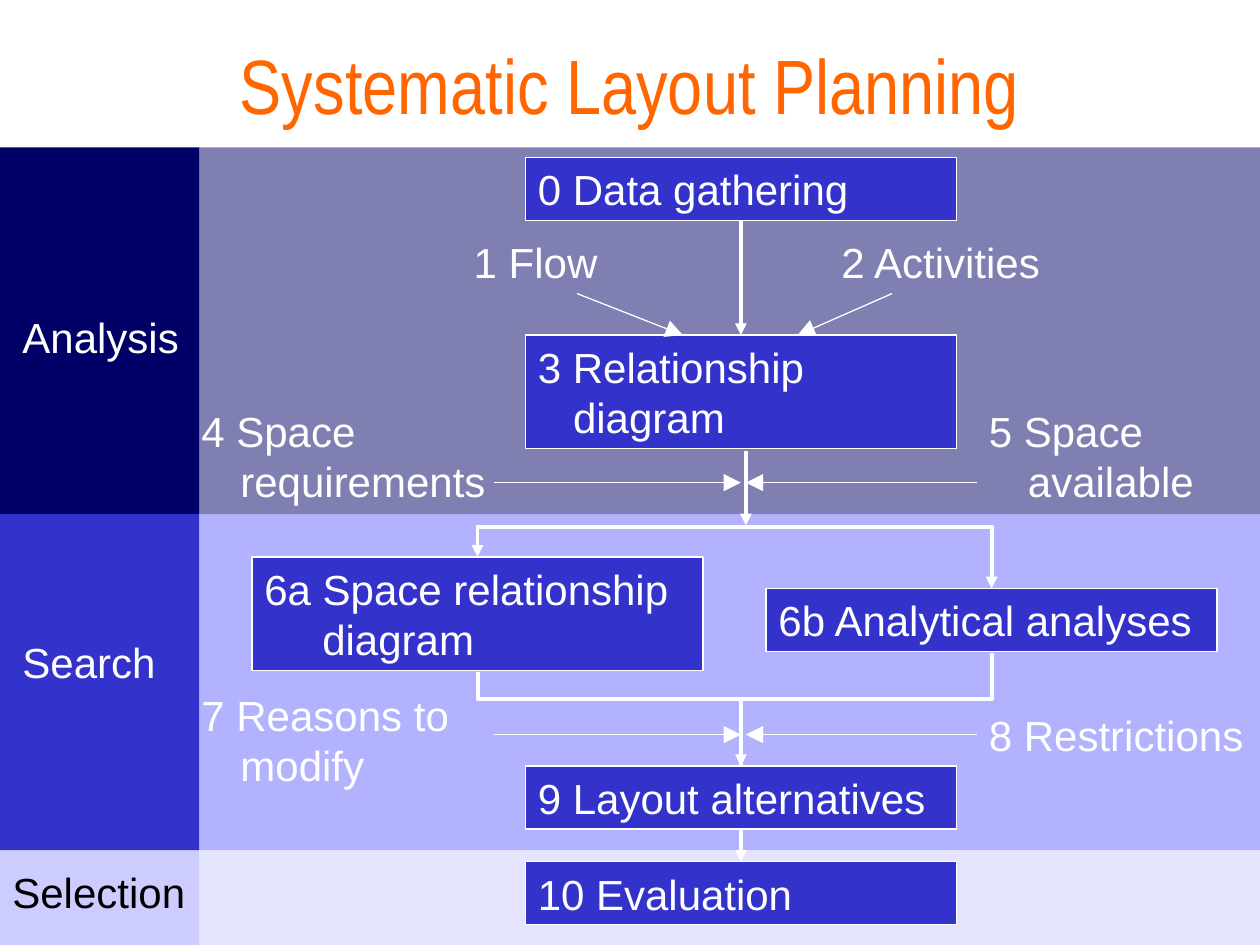
from lxml.etree import SubElement
from pptx import Presentation
from pptx.dml.color import RGBColor
from pptx.enum.shapes import MSO_CONNECTOR, MSO_SHAPE
from pptx.enum.text import MSO_ANCHOR, PP_ALIGN
from pptx.oxml.ns import qn
from pptx.util import Inches, Pt

WHITE = RGBColor(0xFF, 0xFF, 0xFF)
BLACK = RGBColor(0, 0, 0)
ORANGE = RGBColor(0xFF, 0x66, 0x00)
NAVY = RGBColor(0x00, 0x00, 0x66)
BLUE = RGBColor(0x33, 0x33, 0xCC)
VIOLET = RGBColor(0x66, 0x66, 0xFF)
PALE = RGBColor(0xCC, 0xCC, 0xFF)

# Line widths, in points
THIN, THICK = 0.75, 2.25

# Slide grid, in inches
WIDTH, HEIGHT = 10, 7.5
SIDE = 1.58
ONE_LINE, TWO_LINES = 0.5, 0.9
MIDDLE_LEFT, MIDDLE_WIDTH = 4.17, 3.42
MIDDLE = MIDDLE_LEFT + MIDDLE_WIDTH / 2
STEM = 5.92
BRANCH_WIDTH = 3.58
LEFT_BRANCH, RIGHT_BRANCH = 2, 6.08
LEFT_MIDDLE = LEFT_BRANCH + BRANCH_WIDTH / 2
RIGHT_MIDDLE = RIGHT_BRANCH + BRANCH_WIDTH / 2
SPLIT, MERGE = 4.18, 5.55
NOTE_INDENT = 0.31

# Phases: top, side colour, band colour
PHASES = [(1.17, NAVY, NAVY), (4.08, BLUE, VIOLET), (6.75, PALE, PALE)]

# Labels: text, left, top, width, height, colour, alignment, hanging indent
LABELS = [
    ("Analysis", 0.08, 2.42, 1.5, ONE_LINE, WHITE, PP_ALIGN.LEFT, 0),
    ("Search", 0.08, 5, 1.33, ONE_LINE, WHITE, PP_ALIGN.LEFT, 0),
    ("Selection", 0, 6.83, SIDE, ONE_LINE, BLACK, PP_ALIGN.LEFT, 0),
    ("1 Flow", 2.67, 1.83, 2.17, ONE_LINE, WHITE, PP_ALIGN.RIGHT, 0),
    ("2 Activities", 6.58, 1.83, 2.08, ONE_LINE, WHITE, PP_ALIGN.LEFT, 0),
    ("4 Space requirements", 1.5, 3.17, 2.5, TWO_LINES, WHITE, PP_ALIGN.LEFT, NOTE_INDENT),
    ("5 Space available", 7.75, 3.17, 2.08, TWO_LINES, WHITE, PP_ALIGN.LEFT, NOTE_INDENT),
    ("7 Reasons to modify", 1.5, 5.42, 2.42, TWO_LINES, WHITE, PP_ALIGN.LEFT, NOTE_INDENT),
    ("8 Restrictions", 7.75, 5.58, 2.25, ONE_LINE, WHITE, PP_ALIGN.LEFT, 0),
]

# Steps: key -> text, left, top, width, height, hanging indent
STEPS = {
    "0": ("0 Data gathering", MIDDLE_LEFT, 1.25, MIDDLE_WIDTH, ONE_LINE, 0),
    "3": ("3 Relationship\vdiagram", MIDDLE_LEFT, 2.66, MIDDLE_WIDTH, TWO_LINES, 0.28),
    "6a": ("6a Space relationship\vdiagram", LEFT_BRANCH, 4.42, BRANCH_WIDTH, TWO_LINES, 0.46),
    "6b": ("6b Analytical analyses", RIGHT_BRANCH, 4.67, BRANCH_WIDTH, ONE_LINE, 0),
    "9": ("9 Layout alternatives", MIDDLE_LEFT, 6.08, MIDDLE_WIDTH, ONE_LINE, 0),
    "10": ("10 Evaluation", MIDDLE_LEFT, 6.84, MIDDLE_WIDTH, ONE_LINE, 0),
}
JOINS = [("0", "3"), ("9", "10")]

# Arrows: start, end, line width
ARROWS = [
    ((4.58, 2.33), (5.42, 2.66), THIN),
    ((7.08, 2.33), (6.33, 2.66), THIN),
    ((STEM, 3.58), (STEM, 4.17), THICK),
]
for note_y in (3.83, 5.83):
    ARROWS += [((3.92, note_y), (MIDDLE, note_y), THIN),
               ((7.75, note_y), (STEM, note_y), THIN)]

# Bent routes: points, arrowhead at the end
ROUTES = [
    ([(STEM, SPLIT), (LEFT_MIDDLE, SPLIT), (LEFT_MIDDLE, 4.42)], True),
    ([(STEM, SPLIT), (RIGHT_MIDDLE, SPLIT), (RIGHT_MIDDLE, 4.67)], True),
    ([(LEFT_MIDDLE, 5.33), (LEFT_MIDDLE, MERGE), (MIDDLE, MERGE), (MIDDLE, 6.08)], False),
    ([(RIGHT_MIDDLE, 5.18), (RIGHT_MIDDLE, MERGE), (MIDDLE, MERGE), (MIDDLE, 6.08)], True),
]


def write(box, text, color=WHITE, align=PP_ALIGN.LEFT, indent=0,
          size=24, font="Arial", anchor=MSO_ANCHOR.TOP):
    frame = box.text_frame
    frame.word_wrap = True
    frame.vertical_anchor = anchor
    para = frame.paragraphs[0]
    para.text = text
    para.alignment = align
    if indent:
        properties = para._p.get_or_add_pPr()
        properties.set("marL", str(Inches(indent)))
        properties.set("indent", str(-Inches(indent)))
    para.font.size = Pt(size)
    para.font.name = font
    para.font.color.rgb = color


def add_text(page, place, text, **style):
    box = page.shapes.add_textbox(*map(Inches, place))
    write(box, text, **style)


def add_rectangle(page, place, color, alpha=None):
    box = page.shapes.add_shape(MSO_SHAPE.RECTANGLE, *map(Inches, place))
    box.shadow.inherit = False
    box.fill.solid()
    box.fill.fore_color.rgb = color
    box.line.fill.background()
    if alpha:
        tint = box._element.spPr.find(qn("a:solidFill"))[0]
        SubElement(tint, qn("a:alpha")).set("val", str(alpha * 1000))
    return box


def style_line(shape, width, arrow=True):
    shape.line.color.rgb = WHITE
    shape.line.width = Pt(width)
    if arrow:
        size = "lg" if width == THIN else "med"
        SubElement(shape.line._get_or_add_ln(), qn("a:tailEnd"),
                   {"type": "triangle", "w": size, "len": size})


def add_arrow(page, start, end, width):
    arrow = page.shapes.add_connector(MSO_CONNECTOR.STRAIGHT, *map(Inches, start + end))
    style_line(arrow, width)
    SubElement(arrow._element.spPr, qn("a:effectLst"))
    return arrow


def add_route(page, points, arrow):
    start, *corners = [(Inches(x), Inches(y)) for x, y in points]
    builder = page.shapes.build_freeform(*start)
    builder.add_line_segments(corners, close=False)
    route = builder.convert_to_shape()
    route.shadow.inherit = False
    route.fill.background()
    style_line(route, THICK, arrow)


def main():
    deck = Presentation()
    deck.slide_width, deck.slide_height = Inches(WIDTH), Inches(HEIGHT)
    page = deck.slides.add_slide(deck.slide_layouts[6])

    # Title
    add_text(page, (0.75, 0.33, 8.5, 0.67), "Systematic Layout Planning", color=ORANGE,
             align=PP_ALIGN.CENTER, size=44, font="Arial Narrow", anchor=MSO_ANCHOR.MIDDLE)

    # Phase bands
    bottoms = [phase[0] for phase in PHASES[1:]] + [HEIGHT]
    for (top, side_color, band_color), bottom in zip(PHASES, bottoms):
        add_rectangle(page, (0, top, SIDE, bottom - top), side_color)
        add_rectangle(page, (SIDE, top, WIDTH - SIDE, bottom - top), band_color, alpha=50)

    # Phase names and inputs
    for text, left, top, width, height, color, align, indent in LABELS:
        add_text(page, (left, top, width, height), text,
                 color=color, align=align, indent=indent)

    # Step boxes
    boxes = {}
    for key, (text, *place, indent) in STEPS.items():
        boxes[key] = add_rectangle(page, place, BLUE)
        style_line(boxes[key], THIN, arrow=False)
        write(boxes[key], text, indent=indent)

    # Arrows between steps
    for first, second in JOINS:
        arrow = add_arrow(page, (0, 0), (1, 1), THICK)
        arrow.begin_connect(boxes[first], 2)
        arrow.end_connect(boxes[second], 0)
    for start, end, width in ARROWS:
        add_arrow(page, start, end, width)
    for points, arrow in ROUTES:
        add_route(page, points, arrow)

    deck.save("out.pptx")


if __name__ == "__main__":
    main()
